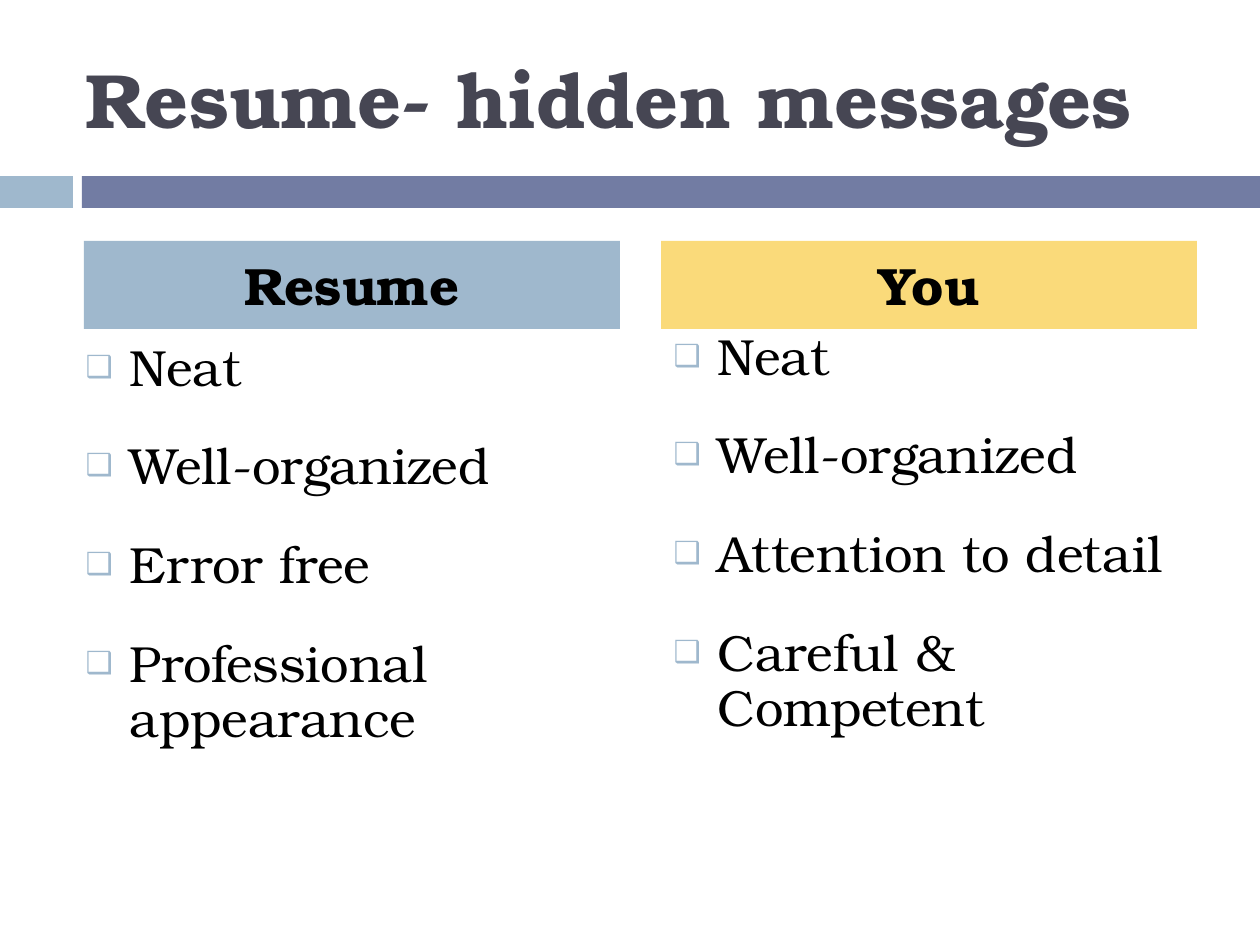
from lxml.etree import SubElement
from pptx import Presentation
from pptx.dml.color import RGBColor
from pptx.enum.shapes import MSO_SHAPE as Shape
from pptx.enum.text import MSO_ANCHOR as Anchor, MSO_AUTO_SIZE as AutoSize, PP_ALIGN as Align
from pptx.oxml.ns import qn
from pptx.util import Pt

EMU_PER_PX = 914400 / 126
LIGHT_BLUE, INDIGO, YELLOW = "9FB8CD", "727CA3", "FADA7A"
BLACK, SLATE = "000000", "464653"


def px(length):
    """Turn pixels into EMU."""
    return round(length * EMU_PER_PX)


def color(value):
    """Turn a hex string into a colour."""
    return RGBColor.from_string(value)


def assign(target, values):
    """Set each named attribute of the target."""
    for name, value in values.items():
        setattr(target, name, value)


class SlideBuilder:
    """Hold the style and the current slide."""

    font = "TeX Gyre Bonum"
    title_format = {"alignment": Align.LEFT}
    header_format = {"alignment": Align.CENTER, "space_before": Pt(7)}
    list_format = {"line_spacing": 0.9, "space_before": Pt(7), "space_after": Pt(18.1)}

    def __init__(self, slide):
        """Keep the slide and index its placeholders."""
        self.slide = slide
        self.placeholders = {
            shape.placeholder_format.idx: shape for shape in slide.placeholders
        }

    def place(self, index, box, anchor):
        """Move a placeholder and return it."""
        shape = self.placeholders[index]
        assign(shape, dict(zip(("left", "top", "width", "height"), map(px, box))))
        assign(shape.text_frame, {
            "word_wrap": True, "auto_size": AutoSize.NONE, "vertical_anchor": anchor,
        })
        return shape

    def set_text(self, shape, lines, size, hue, bold, paragraph_format):
        """Fill a shape with formatted paragraphs."""
        shape.text_frame.text = "\n".join(lines)
        for paragraph in shape.text_frame.paragraphs:
            assign(paragraph, paragraph_format)
            font = paragraph.runs[0].font
            assign(font, {"name": self.font, "size": Pt(size), "bold": bold})
            font.color.rgb = color(hue)

    def bar(self, box, fill):
        """Draw a plain rectangle."""
        shape = self.slide.shapes.add_shape(Shape.RECTANGLE, *map(px, box))
        shape.shadow.inherit = False
        shape.fill.solid()
        shape.fill.fore_color.rgb = color(fill)
        shape.line.fill.background()

    def title(self, text, box):
        """Set the slide title."""
        shape = self.place(0, box, Anchor.MIDDLE)
        self.set_text(shape, [text], 44, SLATE, True, self.title_format)

    def header(self, index, text, box, fill):
        """Set a filled column header."""
        shape = self.place(index, box, Anchor.MIDDLE)
        shape.fill.solid()
        shape.fill.fore_color.rgb = color(fill)
        self.set_text(shape, [text], 30, BLACK, True, self.header_format)

    def bullets(self, index, lines, box):
        """Set a list with box bullets."""
        shape = self.place(index, box, Anchor.TOP)
        self.set_text(shape, lines, 29, BLACK, False, self.list_format)
        for paragraph in shape.text_frame.paragraphs:
            properties = paragraph._p.get_or_add_pPr()
            properties.set("marL", str(px(44)))
            properties.set("indent", str(px(-44)))
            bullet_color = SubElement(properties, qn("a:buClr"))
            SubElement(bullet_color, qn("a:srgbClr"), val=LIGHT_BLUE)
            SubElement(properties, qn("a:buSzPct"), val="60000")
            SubElement(properties, qn("a:buChar"), char="❑")


def main():
    """Build and save the slide."""
    presentation = Presentation()
    assign(presentation, {"slide_width": px(1260), "slide_height": px(945)})
    slide = presentation.slides.add_slide(presentation.slide_layouts[4])
    builder = SlideBuilder(slide)
    builder.bar((0, 176, 73, 32), LIGHT_BLUE)
    builder.bar((82, 176, 1178, 32), INDIGO)
    builder.title("Resume- hidden messages", (73, 38, 1124, 120))

    columns = [
        ("Resume", LIGHT_BLUE, 84, (73, 336),
         ["Neat", "Well-organized", "Error free", "Professional appearance"]),
        ("You", YELLOW, 661, (661, 325),
         ["Neat", "Well-organized", "Attention to detail", "Careful & Competent"]),
    ]
    for number, (heading, fill, left, corner, lines) in enumerate(columns):
        builder.header(2 * number + 1, heading, (left, 241, 536, 88), fill)
        builder.bullets(2 * number + 2, lines, (*corner, 536, 494))
    presentation.save("out.pptx")


if __name__ == "__main__":
    main()
